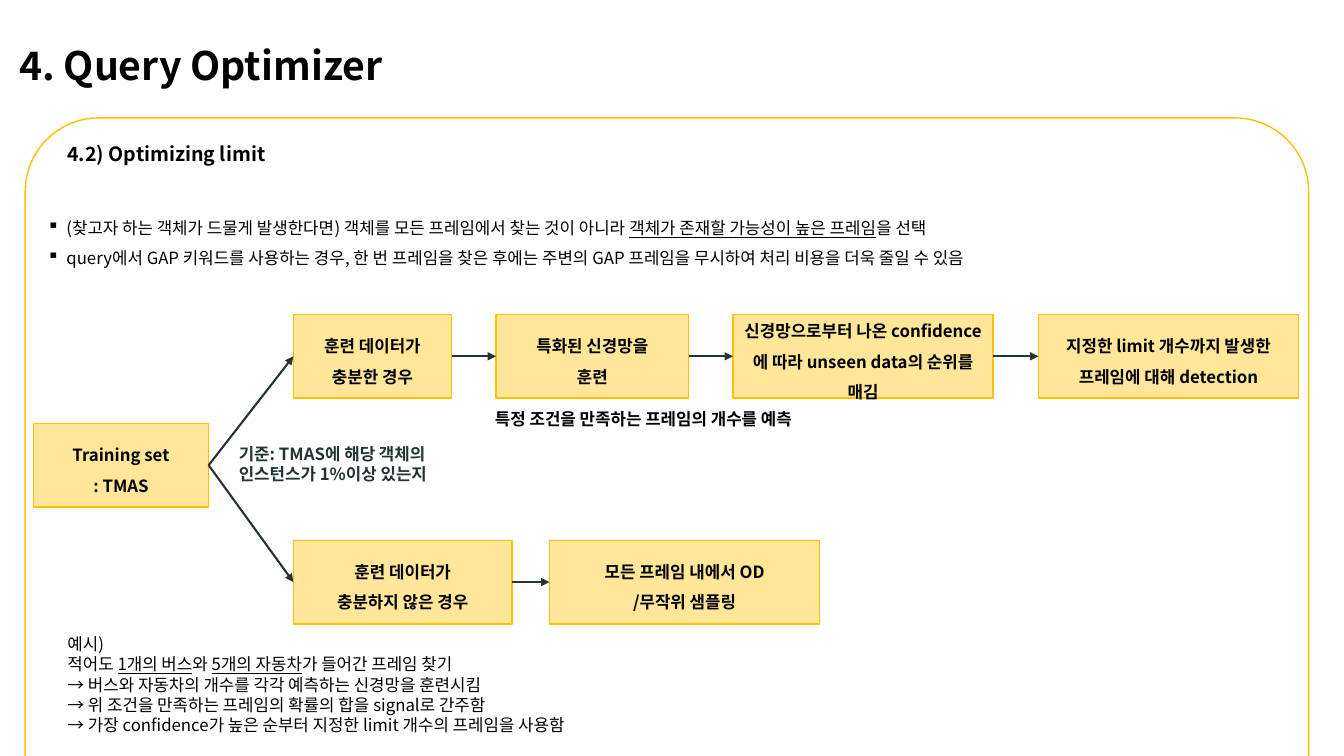
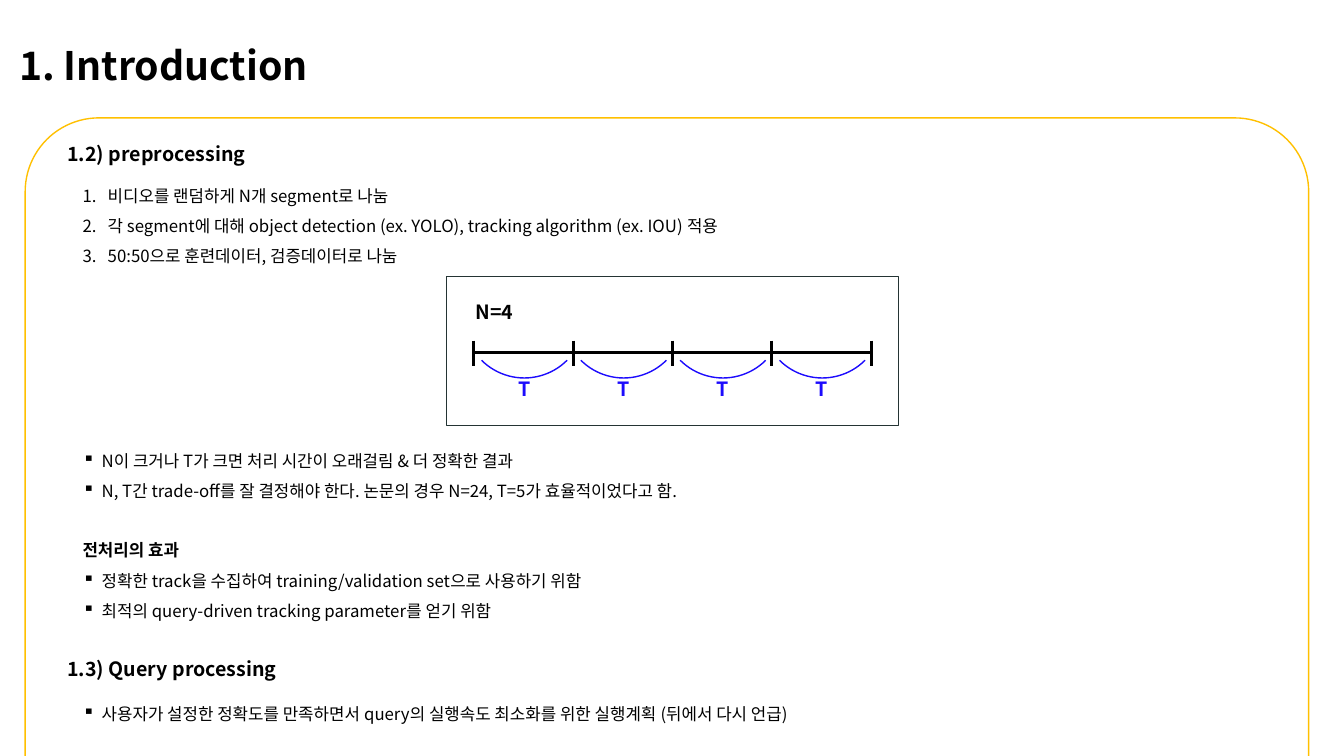
from lxml.etree import SubElement
from pptx import Presentation
from pptx.dml.color import RGBColor
from pptx.enum.shapes import MSO_CONNECTOR, MSO_SHAPE
from pptx.enum.text import MSO_ANCHOR, MSO_AUTO_SIZE, PP_ALIGN
from pptx.oxml.ns import qn
from pptx.util import Inches, Pt

FONT = "Noto Sans CJK KR"
BLACK, DARK, BLUE = "000000", "243434", "1C0BFD"
GOLD, CREAM = "FFC000", "FFE699"
SQUARE = ("a:buChar", {"char": "▪"}, 0.19)
NUMBER = ("a:buAutoNum", {"type": "arabicPeriod"}, 0.25)
LEFT_SIDE, RIGHT_SIDE = 1, 3


def rgb(value):
    return RGBColor.from_string(value)


class Deck:
    """Holds the shared style and the slide being built."""

    def __init__(self):
        self.prs = Presentation()
        self.prs.slide_width, self.prs.slide_height = Inches(13.33), Inches(7.5)
        self.slide = None

    def new_slide(self, title):
        self.slide = self.prs.slides.add_slide(self.prs.slide_layouts[5])
        heading = self.slide.shapes.title
        place = {"left": 0, "top": 0, "width": 13.33, "height": 1.05}
        for name, value in place.items():
            setattr(heading, name, Inches(value))
        frame = heading.text_frame
        frame.auto_size = MSO_AUTO_SIZE.NONE
        frame.vertical_anchor = MSO_ANCHOR.MIDDLE
        frame.margin_left = Inches(0.19)
        self.fill_text(frame, [title], size=28, bold=True, spacing=1.5)
        self.outline(MSO_SHAPE.ROUNDED_RECTANGLE, 0.25, 1.17, 12.73, 7.1,
                     GOLD).adjustments[0] = 0.103

    def fill_text(self, frame, lines, size=12, color=BLACK, bold=False,
                  spacing=1.0, align=PP_ALIGN.LEFT, bullet=None):
        """Fill a text frame; words between underscores are underlined."""
        for index, line in enumerate(lines):
            paragraph = frame.add_paragraph() if index else frame.paragraphs[0]
            paragraph.alignment = align
            paragraph.line_spacing = spacing
            if bullet:
                self.add_bullet(paragraph, *bullet)
            for position, words in enumerate(line.split("_")):
                run = paragraph.add_run()
                run.text = words
                style = {"name": FONT, "size": Pt(size), "bold": bold,
                         "underline": position % 2 == 1}
                for name, value in style.items():
                    setattr(run.font, name, value)
                run.font.color.rgb = rgb(color)
                SubElement(run.font._element, qn("a:ea"), typeface=FONT)

    def add_bullet(self, paragraph, tag, attributes, indent):
        properties = paragraph._p.get_or_add_pPr()
        properties.set("marL", str(Inches(indent)))
        properties.set("indent", str(-Inches(indent)))
        SubElement(properties, qn(tag), attributes)

    def text(self, left, top, width, height, lines, **style):
        box = self.slide.shapes.add_textbox(
            Inches(left), Inches(top), Inches(width), Inches(height))
        box.text_frame.word_wrap = True
        self.fill_text(box.text_frame, lines, **style)

    def subtitle(self, top, words):
        self.text(0.57, top, 3.01, 0.34, [words], size=14, bold=True)

    def outline(self, kind, left, top, width, height, color):
        shape = self.slide.shapes.add_shape(
            kind, Inches(left), Inches(top), Inches(width), Inches(height))
        shape.shadow.inherit = False
        shape.fill.background()
        shape.line.color.rgb = rgb(color)
        shape.line.width = Pt(1)
        return shape

    def step(self, left, top, width, lines):
        box = self.outline(MSO_SHAPE.RECTANGLE, left, top, width, 0.83, GOLD)
        box.fill.solid()
        box.fill.fore_color.rgb = rgb(CREAM)
        box.text_frame.word_wrap = True
        box.text_frame.vertical_anchor = MSO_ANCHOR.MIDDLE
        self.fill_text(box.text_frame, lines, bold=True, spacing=1.5,
                       align=PP_ALIGN.CENTER)
        return box

    def line(self, x1, y1, x2, y2, color=BLACK, width=2.25):
        connector = self.slide.shapes.add_connector(
            MSO_CONNECTOR.STRAIGHT, Inches(x1), Inches(y1), Inches(x2), Inches(y2))
        connector.line.color.rgb = rgb(color)
        connector.line.width = Pt(width)
        SubElement(connector._element.spPr, qn("a:effectLst"))
        return connector

    def arrow(self, source, target):
        connector = self.line(0, 0, 1, 1, DARK, 1.5)
        connector.begin_connect(source, RIGHT_SIDE)
        connector.end_connect(target, LEFT_SIDE)
        stroke = connector._element.spPr.find(qn("a:ln"))
        SubElement(stroke, qn("a:tailEnd"), type="triangle")


def build_optimizer(deck):
    deck.new_slide("4. Query Optimizer")
    deck.subtitle(1.36, "4.2) Optimizing limit")
    deck.text(0.37, 2.01, 12.49, 0.97, [
        "(찾고자 하는 객체가 드물게 발생한다면) 객체를 모든 프레임에서 찾는 것이 아니라 "
        "_객체가 존재할 가능성이 높은 프레임_을 선택",
        "query에서 GAP 키워드를 사용하는 경우, 한 번 프레임을 찾은 후에는 주변의 GAP 프레임을 "
        "무시하여 처리 비용을 더욱 줄일 수 있음",
    ], spacing=1.5, bullet=SQUARE)

    training_set = deck.step(0.33, 4.2, 1.74, ["Training set", ": TMAS"])
    branches = [
        (3.12, [
            (2.91, 1.57, ["훈련 데이터가", "충분한 경우"]),
            (4.92, 1.91, ["특화된 신경망을", "훈련"]),
            (7.27, 2.58, ["신경망으로부터 나온 confidence에 따라 unseen data의 순위를 매김"]),
            (10.3, 2.58, ["지정한 limit 개수까지 발생한 프레임에 대해 detection"]),
        ]),
        (5.36, [
            (2.91, 2.17, ["훈련 데이터가", "충분하지 않은 경우"]),
            (5.45, 2.68, ["모든 프레임 내에서 OD", "/무작위 샘플링"]),
        ]),
    ]
    for top, steps in branches:
        previous = training_set
        for left, width, lines in steps:
            current = deck.step(left, top, width, lines)
            deck.arrow(previous, current)
            previous = current

    deck.text(2.27, 4.35, 2.36, 0.5,
              ["기준: TMAS에 해당 객체의 인스턴스가 1%이상 있는지"], color=DARK, bold=True)
    deck.text(4.81, 4.01, 5.49, 0.3,
              ["특정 조건을 만족하는 프레임의 개수를 예측"], bold=True)
    deck.text(0.57, 6.24, 7.81, 1.11, [
        "예시)",
        "적어도 _1개의 버스_와 _5개의 자동차_가 들어간 프레임 찾기",
        "→ 버스와 자동차의 개수를 각각 예측하는 신경망을 훈련시킴",
        "→ 위 조건을 만족하는 프레임의 확률의 합을 signal로 간주함",
        "→ 가장 confidence가 높은 순부터 지정한 limit 개수의 프레임을 사용함",
    ])


def draw_segments(deck, count=4, start=4.7, end=8.64, axis=3.5):
    """Draw the video timeline cut into equal segments of length T."""
    deck.outline(MSO_SHAPE.RECTANGLE, 4.43, 2.74, 4.48, 1.48, DARK)
    deck.text(4.59, 2.93, 0.63, 0.34, [f"N={count}"], size=14, bold=True,
              align=PP_ALIGN.CENTER)
    deck.line(start, axis, end, axis)
    gap = (end - start) / count
    for index in range(count + 1):
        tick = start + index * gap
        deck.line(tick, axis - 0.12, tick, axis + 0.13)
        if index < count:
            arc = deck.outline(MSO_SHAPE.ARC, tick - 0.1, 2.55, 1.2, 1.2, BLUE)
            arc.rotation = 135
            deck.text(tick + 0.34, 3.69, 0.27, 0.34, ["T"], size=14, color=BLUE,
                      bold=True)


def build_introduction(deck):
    deck.new_slide("1. Introduction")
    deck.subtitle(1.36, "1.2) preprocessing")
    deck.text(0.72, 1.69, 7.48, 0.97, [
        "비디오를 랜덤하게 N개 segment로 나눔",
        "각 segment에 대해 object detection (ex. YOLO), tracking algorithm (ex. IOU) 적용",
        "50:50으로 훈련데이터, 검증데이터로 나눔",
    ], spacing=1.5, bullet=NUMBER)
    draw_segments(deck)
    deck.text(0.72, 4.32, 8.18, 0.67, [
        "N이 크거나 T가 크면 처리 시간이 오래걸림 & 더 정확한 결과",
        "N, T간 trade-off를 잘 결정해야 한다. 논문의 경우 N=24, T=5가 효율적이었다고 함.",
    ], spacing=1.5, bullet=SQUARE)
    deck.text(0.72, 5.21, 8.18, 0.36, ["전처리의 효과"], bold=True, spacing=1.5)
    deck.text(0.72, 5.51, 8.18, 0.67, [
        "정확한 track을 수집하여 training/validation set으로 사용하기 위함",
        "최적의 query-driven tracking parameter를 얻기 위함",
    ], spacing=1.5, bullet=SQUARE)
    deck.subtitle(6.47, "1.3) Query processing")
    deck.text(0.72, 6.83, 8.18, 0.36, [
        "사용자가 설정한 정확도를 만족하면서 query의 실행속도 최소화를 위한 실행계획 (뒤에서 다시 언급)",
    ], spacing=1.5, bullet=SQUARE)


def main():
    deck = Deck()
    build_optimizer(deck)
    build_introduction(deck)
    deck.prs.save("out.pptx")


if __name__ == "__main__":
    main()
